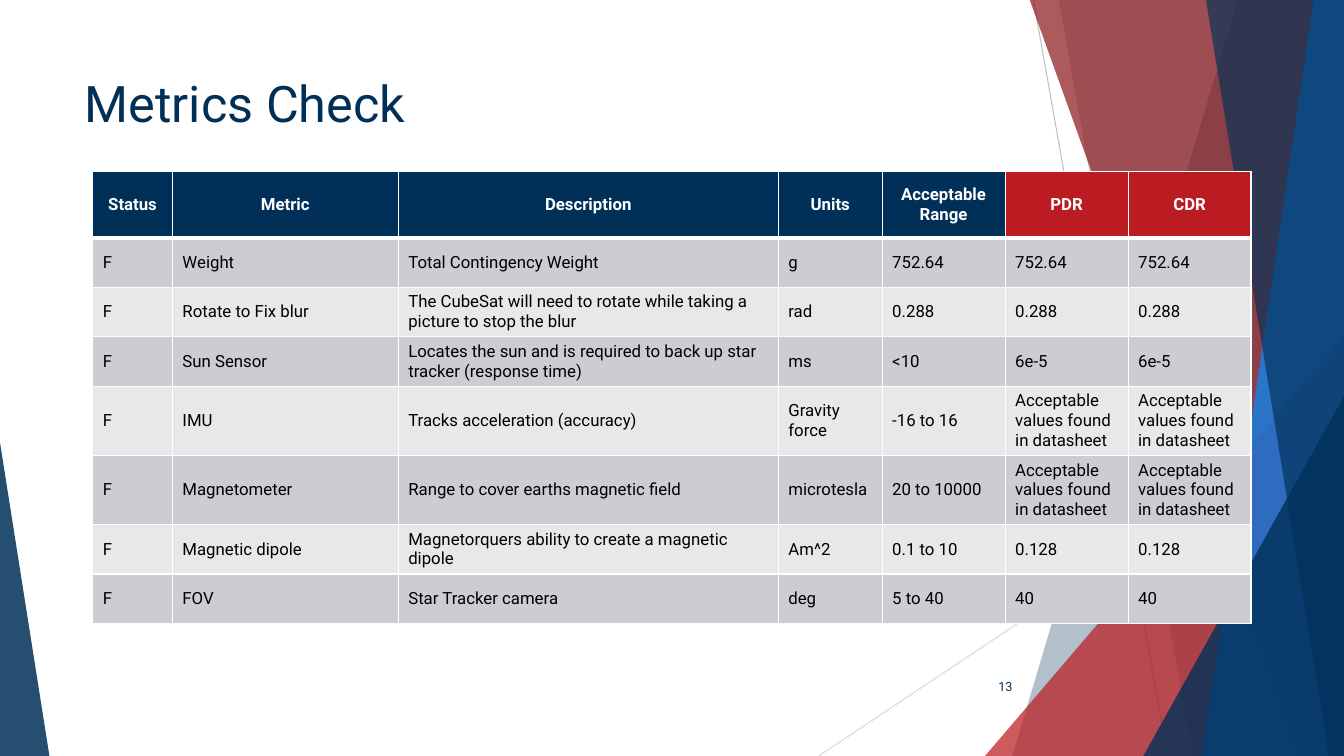
from dataclasses import dataclass

from lxml.etree import SubElement
from pptx import Presentation
from pptx.dml.color import RGBColor
from pptx.enum.shapes import MSO_CONNECTOR as Connector, MSO_SHAPE as Shape
from pptx.enum.text import MSO_ANCHOR as Anchor, PP_ALIGN as Align
from pptx.oxml import parse_xml
from pptx.oxml.ns import nsdecls, qn
from pptx.util import Inches, Pt


@dataclass(frozen=True)
class Theme:
    font: str = "Roboto"
    navy: str = "003058"
    red: str = "BA1C21"
    dark_red: str = "8B1519"
    blue: str = "028CFF"
    white: str = "FFFFFF"
    black: str = "000000"
    dark_line: str = "BFBFBF"
    light_line: str = "D9D9D9"
    bands: tuple = ("CCCDD1", "E7E8EA")
    title_size: int = 36
    table_size: int = 12
    number_size: int = 9


class SlideBuilder:
    def __init__(self, slide, theme):
        self.slide, self.shapes, self.theme = slide, slide.shapes, theme

    def format_text(self, frame, size, color, bold=False, align=Align.LEFT):
        font_format = {"name": self.theme.font, "size": Pt(size), "bold": bold}
        for paragraph in frame.paragraphs:
            paragraph.alignment = align
            for key, value in font_format.items():
                setattr(paragraph.font, key, value)
            paragraph.font.color.rgb = RGBColor.from_string(color)

    def fill(self, shape, color, opacity):
        shape.shadow.inherit = False
        shape.line.fill.background()
        shape.fill.solid()
        shape.fill.fore_color.rgb = RGBColor.from_string(color)
        rgb = shape.fill._xPr.find(f".//{qn('a:srgbClr')}")
        SubElement(rgb, qn("a:alpha"), val=str(opacity * 1000))

    def line(self, start, end, color):
        ends = [Inches(v) for v in (*start, *end)]
        line = self.shapes.add_connector(Connector.STRAIGHT, *ends)
        line.line.color.rgb = RGBColor.from_string(color)
        line.line.width = Pt(0.75)
        SubElement(line._element.spPr, qn("a:effectLst"))

    def band(self, top_left, top_right, bottom_right, bottom_left, color, opacity):
        """Four-sided band running the full slide height."""
        corners = [(Inches(x), Inches(y)) for x, y in (
            (top_left, -0.01), (top_right, -0.01),
            (bottom_right, 7.5), (bottom_left, 7.5))]
        outline = self.shapes.build_freeform(*corners[0], scale=1.0)
        outline.add_line_segments(corners[1:], close=True)
        self.fill(outline.convert_to_shape(), color, opacity)

    def triangle(self, box, apex, color, opacity):
        triangle = self.shapes.add_shape(
            Shape.ISOSCELES_TRIANGLE, *[Inches(v) for v in box])
        triangle.adjustments[0] = apex
        self.fill(triangle, color, opacity)

    def place_text(self, holder, box, text, size, anchor, align):
        for key, value in zip(("left", "top", "width", "height"), box):
            setattr(holder, key, Inches(value))
        frame = holder.text_frame
        frame.text = text
        frame.word_wrap = True
        frame.vertical_anchor = anchor
        self.format_text(frame, size, self.theme.navy, align=align)

    def title(self, box, text):
        title = self.shapes.title
        self.shapes._spTree.append(title._element)  # in front of the backdrop
        self.place_text(title, box, text, self.theme.title_size,
                        Anchor.TOP, Align.LEFT)

    def page_number(self, box, text):
        holder = self.shapes.add_textbox(*[Inches(v) for v in box])
        self.place_text(holder, box, text, self.theme.number_size,
                        Anchor.MIDDLE, Align.RIGHT)

    def borders(self, cell, widths):
        properties = cell._tc.get_or_add_tcPr()
        for index, (side, width) in enumerate(widths.items()):
            properties.insert(index, parse_xml(
                f'<a:ln{side} {nsdecls("a")} w="{Pt(width)}"><a:solidFill>'
                f'<a:srgbClr val="{self.theme.white}"/></a:solidFill></a:ln{side}>'))

    def table(self, left, top, columns, heights, rows, red_headers):
        theme = self.theme
        table = self.shapes.add_table(
            len(rows), len(columns), Inches(left), Inches(top),
            Inches(sum(columns)), Inches(sum(heights))).table
        for column, width in zip(table.columns, columns):
            column.width = Inches(width)
        for r, (row, values) in enumerate(zip(table.rows, rows)):
            row.height = Inches(heights[r])
            header = r == 0
            for cell, value in zip(row.cells, values):
                cell.text = value
                cell.vertical_anchor = Anchor.MIDDLE
                color = theme.bands[(r - 1) % 2]
                if header:
                    color = theme.red if value in red_headers else theme.navy
                cell.fill.solid()
                cell.fill.fore_color.rgb = RGBColor.from_string(color)
                self.format_text(
                    cell.text_frame, theme.table_size,
                    theme.white if header else theme.black, bold=header,
                    align=Align.CENTER if header else Align.LEFT)
                self.borders(cell, {"L": 1, "R": 1, "T": 3 if r == 1 else 1,
                                    "B": 3 if header else 1})


DATASHEET = "Acceptable values found in datasheet"
HEADERS = ("Status", "Metric", "Description", "Units", "Acceptable\nRange",
           "PDR", "CDR")
# Metric, description, units, acceptable range, value at both reviews
METRICS = [
    ("Weight", "Total Contingency Weight", "g", "752.64", "752.64"),
    ("Rotate to Fix blur", "The CubeSat will need to rotate while taking a "
     "picture to stop the blur", "rad", "0.288", "0.288"),
    ("Sun Sensor", "Locates the sun and is required to back up star tracker "
     "(response time)", "ms", "<10", "6e-5"),
    ("IMU", "Tracks acceleration (accuracy)", "Gravity force", "-16 to 16",
     DATASHEET),
    ("Magnetometer", "Range to cover earths magnetic field", "microtesla",
     "20 to 10000", DATASHEET),
    ("Magnetic dipole", "Magnetorquers ability to create a magnetic dipole",
     "Am^2", "0.1 to 10", "0.128"),
    ("FOV", "Star Tracker camera", "deg", "5 to 40", "40"),
]


def main():
    presentation = Presentation()
    presentation.slide_width, presentation.slide_height = Inches(13.33), Inches(7.5)
    theme = Theme()
    slide = presentation.slides.add_slide(presentation.slide_layouts[5])
    builder = SlideBuilder(slide, theme)

    # Backdrop
    builder.line((10.25, 0), (11.58, 7.5), theme.dark_line)
    builder.line((13.33, 4.03), (8.12, 7.5), theme.light_line)
    builder.band(12.28, 13.33, 13.33, 10.04, theme.navy, 30)
    builder.band(10.5, 13.33, 13.33, 11.83, theme.navy, 20)
    builder.triangle((9.77, 3.33, 3.56, 4.17), 1, theme.red, 72)
    builder.band(10.21, 13.33, 13.33, 12.91, theme.dark_red, 70)
    builder.band(13.03, 13.33, 13.33, 11.92, theme.blue, 70)
    builder.band(11.96, 13.33, 13.33, 13.18, theme.navy, 65)
    builder.triangle((11.34, 3.93, 1.99, 3.57), 1, theme.navy, 80)
    builder.triangle((0, 4.39, 0.49, 3.11), 0, theme.navy, 85)

    # Title, metrics table and page number
    builder.title((0.74, 0.67, 9.4, 1.44), "Metrics Check")
    rows = [HEADERS] + [("F", *metric, metric[-1]) for metric in METRICS]
    builder.table(0.92, 1.7, (0.79, 2.24, 3.77, 1.03, 1.22, 1.22, 1.22),
                  [0.66] + [0.49] * len(METRICS), rows, ("PDR", "CDR"))
    builder.page_number((9.39, 6.61, 0.75, 0.4), "13")

    presentation.save("out.pptx")


if __name__ == "__main__":
    main()
